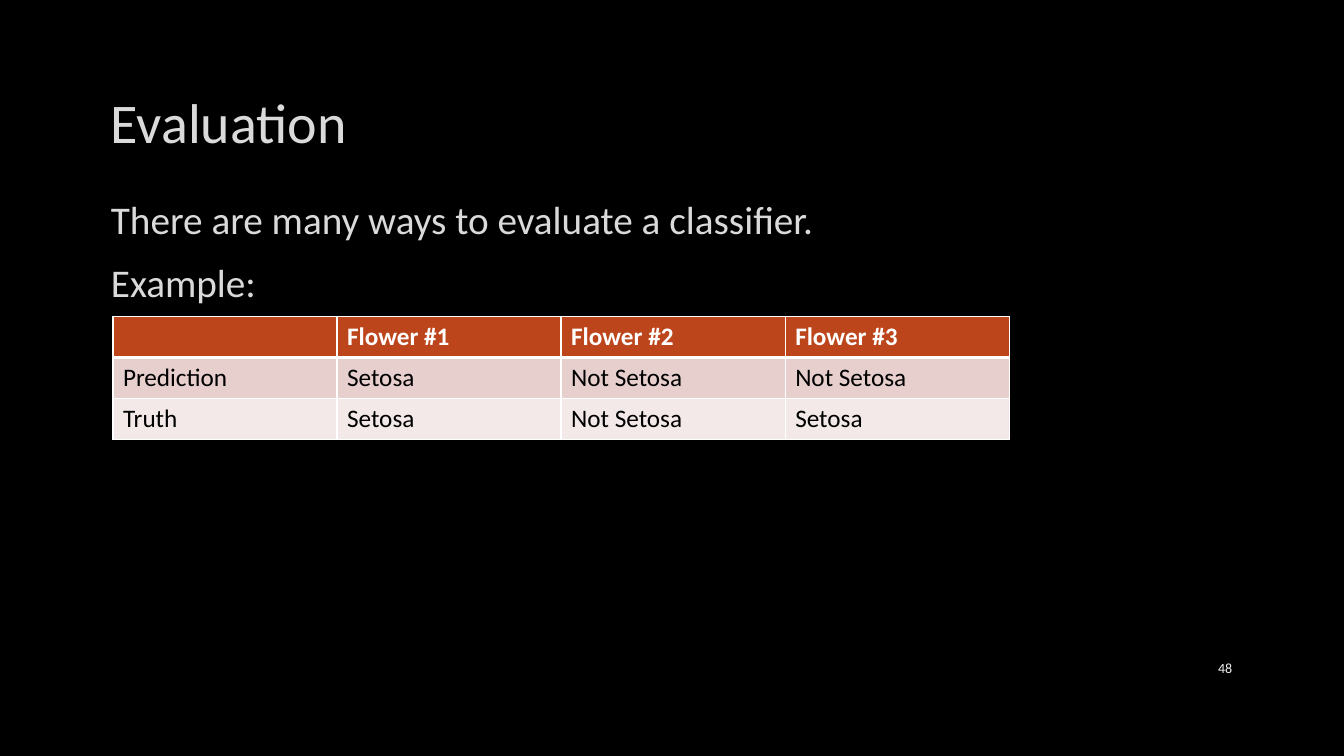
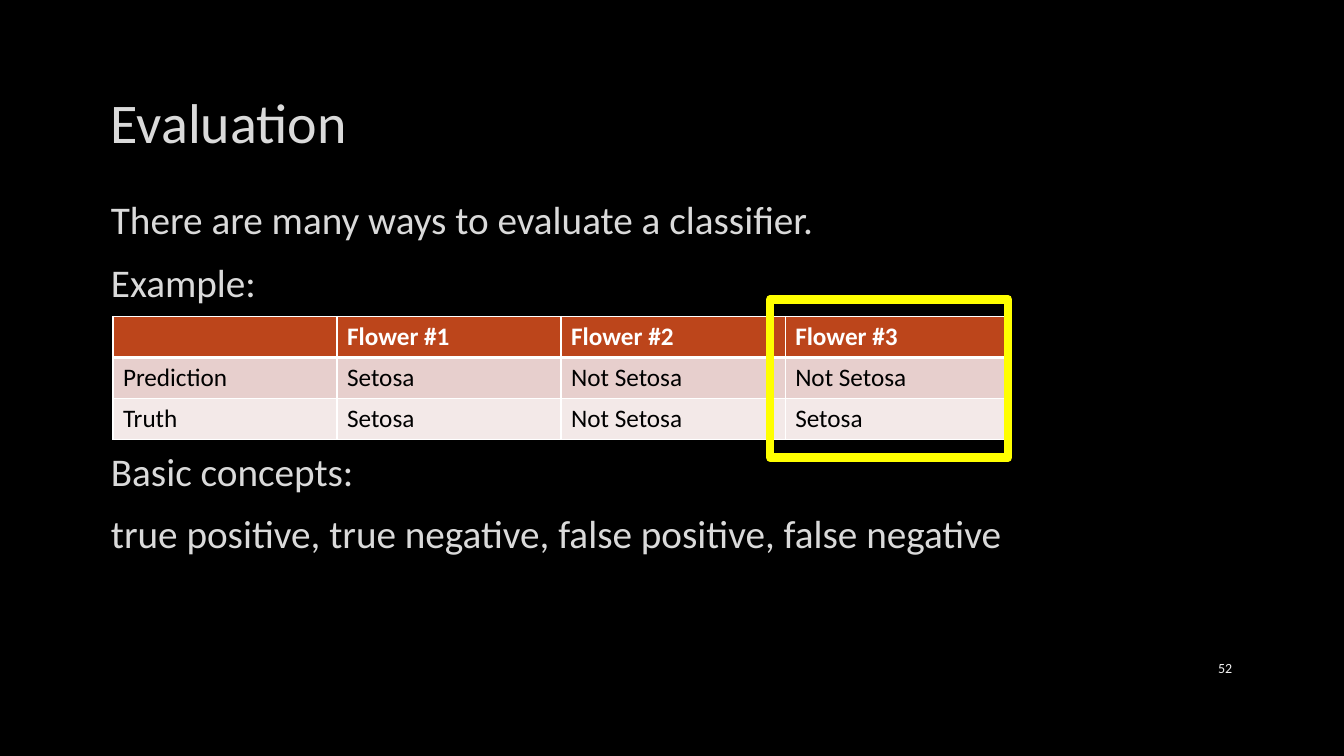
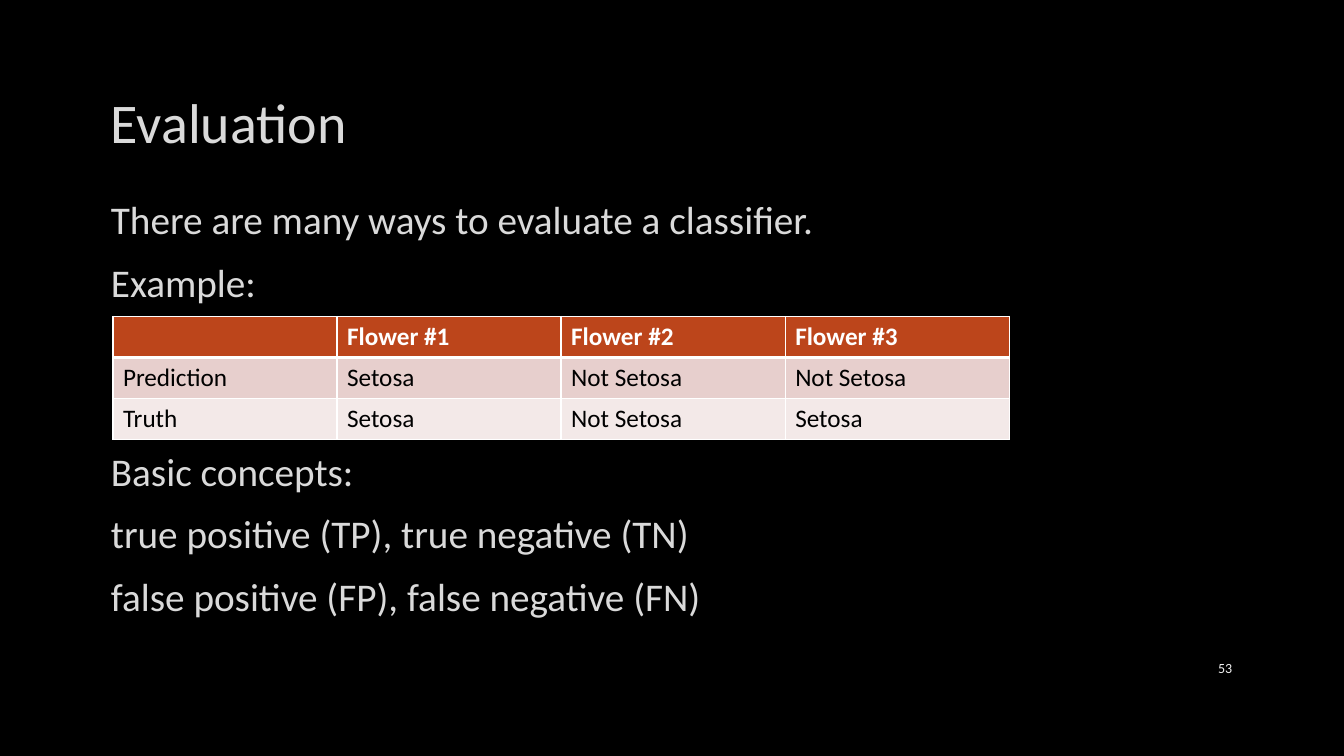
import dataclasses

import pptx
import pptx.dml.color
import pptx.enum.shapes
import pptx.enum.text
import pptx.oxml
import pptx.oxml.ns
import pptx.util
from pptx.util import Inches

TITLE = "Evaluation"
INTRO = ["There are many ways to evaluate a classifier.", "Example:"]
SLIDES = [
    {"number": "48", "concepts": [], "highlight": False},
    {
        "number": "52",
        "concepts": [
            "Basic concepts:",
            "true positive, true negative, false positive, false negative",
        ],
        "highlight": True,
    },
    {
        "number": "53",
        "concepts": [
            "Basic concepts:",
            "true positive (TP), true negative (TN)",
            "false positive (FP), false negative (FN)",
        ],
        "highlight": False,
    },
]
FLOWERS = [
    ["", "Flower #1", "Flower #2", "Flower #3"],
    ["Prediction", "Setosa", "Not Setosa", "Not Setosa"],
    ["Truth", "Setosa", "Not Setosa", "Setosa"],
]


@dataclasses.dataclass(frozen=True)
class Theme:
    font: str = "Calibri"
    background: str = "000000"
    text: str = "DADADA"
    number: str = "F2F2F2"
    header_text: str = "FFFFFF"
    cell_text: str = "000000"
    border: str = "FFFFFF"
    row_fills: tuple = ("BC451B", "E7CFCD", "F3E9E8")
    highlight: str = "FFFF00"
    title_size: int = 40
    body_size: int = 28
    table_size: int = 18
    number_size: int = 10
    space_before: float = 5
    space_after: float = 6
    table_gap: float = 95.4
    thin: float = 1
    thick: float = 3
    highlight_width: float = 6


THEME = Theme()
TITLE_BOX = (1, 0.67, 11.32, 1.06)
BODY_BOX = (1, 1.89, 11.32, 4.54)
NUMBER_BOX = (11.5, 6.43, 0.82, 0.4)
TABLE_BOX = (1.12, 3.14, 8.89, 1.22)
HIGHLIGHT_BOX = (7.64, 2.97, 2.36, 1.57)


def rgb(color):
    return pptx.dml.color.RGBColor.from_string(color)


def inches(box):
    return [Inches(length) for length in box]


def add_run(paragraph, text, size, color, bold=False):
    run = paragraph.add_run()
    run.text = text
    run.font.name = THEME.font
    run.font.size = pptx.util.Pt(size)
    run.font.bold = bold
    run.font.color.rgb = rgb(color)


def prepare_layout(layout):
    """Set the background and the title and body places all slides share."""
    layout.background.fill.solid()
    layout.background.fill.fore_color.rgb = rgb(THEME.background)
    for placeholder, box in zip(layout.placeholders, (TITLE_BOX, BODY_BOX)):
        (placeholder.left, placeholder.top,
         placeholder.width, placeholder.height) = inches(box)


def fill_title(title):
    frame = title.text_frame
    frame.auto_size = pptx.enum.text.MSO_AUTO_SIZE.NONE
    frame.vertical_anchor = pptx.enum.text.MSO_ANCHOR.MIDDLE
    frame.paragraphs[0].alignment = pptx.enum.text.PP_ALIGN.LEFT
    add_run(frame.paragraphs[0], TITLE, THEME.title_size, THEME.text)


def fill_body(body, concepts):
    """Write the intro above the table and the concepts below it."""
    frame = body.text_frame
    frame.auto_size = pptx.enum.text.MSO_AUTO_SIZE.NONE
    for index, line in enumerate(INTRO + concepts):
        paragraph = frame.paragraphs[0] if index == 0 else frame.add_paragraph()
        properties = paragraph._p.get_or_add_pPr()
        properties.set("marL", "0")
        properties.set("indent", "0")
        properties.append(pptx.oxml.parse_xml(
            f'<a:buNone {pptx.oxml.ns.nsdecls("a")}/>'))
        before = THEME.table_gap if index == len(INTRO) else THEME.space_before
        paragraph.space_before = pptx.util.Pt(before if index else 0)
        paragraph.space_after = pptx.util.Pt(THEME.space_after)
        add_run(paragraph, line, THEME.body_size, THEME.text)


def add_number(slide, number):
    frame = slide.shapes.add_textbox(*inches(NUMBER_BOX)).text_frame
    frame.word_wrap = True
    frame.vertical_anchor = pptx.enum.text.MSO_ANCHOR.MIDDLE
    frame.paragraphs[0].alignment = pptx.enum.text.PP_ALIGN.RIGHT
    add_run(frame.paragraphs[0], number, THEME.number_size, THEME.number)


def set_borders(cell, top, bottom):
    widths = {"lnL": THEME.thin, "lnR": THEME.thin, "lnT": top, "lnB": bottom}
    for side, width in widths.items():
        cell._tc.get_or_add_tcPr().append(pptx.oxml.parse_xml(
            f'<a:{side} {pptx.oxml.ns.nsdecls("a")} w="{pptx.util.Pt(width)}">'
            f'<a:solidFill><a:srgbClr val="{THEME.border}"/></a:solidFill>'
            f'</a:{side}>'))


def add_flowers(slide):
    table = slide.shapes.add_table(
        len(FLOWERS), len(FLOWERS[0]), *inches(TABLE_BOX)).table
    for row, labels in enumerate(FLOWERS):
        header = row == 0
        for column, label in enumerate(labels):
            cell = table.cell(row, column)
            set_borders(cell,
                        top=THEME.thick if row == 1 else THEME.thin,
                        bottom=THEME.thick if header else THEME.thin)
            cell.fill.solid()
            cell.fill.fore_color.rgb = rgb(THEME.row_fills[row])
            if label:
                color = THEME.header_text if header else THEME.cell_text
                add_run(cell.text_frame.paragraphs[0], label,
                        THEME.table_size, color, bold=header)


def add_highlight(slide):
    frame = slide.shapes.add_shape(
        pptx.enum.shapes.MSO_SHAPE.RECTANGLE, *inches(HIGHLIGHT_BOX))
    frame.shadow.inherit = False
    frame.fill.background()
    frame.line.color.rgb = rgb(THEME.highlight)
    frame.line.width = pptx.util.Pt(THEME.highlight_width)
    frame.line._get_or_add_ln().append(pptx.oxml.parse_xml(
        f'<a:round {pptx.oxml.ns.nsdecls("a")}/>'))


def main():
    deck = pptx.Presentation()
    deck.slide_width, deck.slide_height = Inches(13.33), Inches(7.5)
    layout = deck.slide_layouts[1]
    prepare_layout(layout)
    for content in SLIDES:
        slide = deck.slides.add_slide(layout)
        fill_title(slide.shapes.title)
        add_number(slide, content["number"])
        fill_body(slide.placeholders[1], content["concepts"])
        add_flowers(slide)
        if content["highlight"]:
            add_highlight(slide)
    deck.save("out.pptx")


if __name__ == "__main__":
    main()
